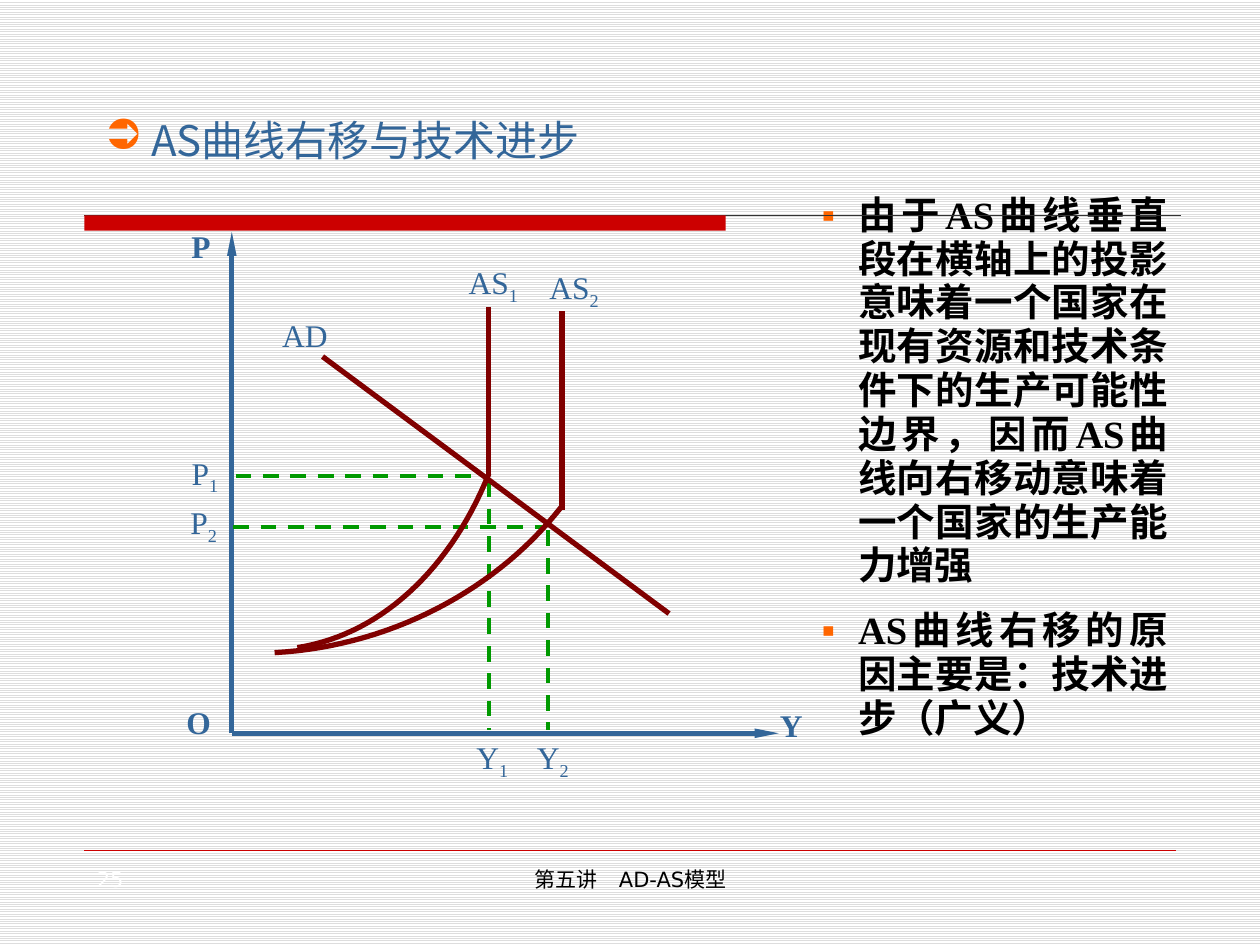
from lxml import etree
from pptx import Presentation
from pptx.dml.color import RGBColor
from pptx.enum import dml, shapes, text
from pptx.oxml.ns import qn
from pptx.util import Inches, Pt

THEME = {
    "blue": "336699", "red": "CC0000", "curve": "800000", "guide": "009900",
    "bullet": "FF6600", "ink": "000000", "rule": "333333", "paper": "FFFFFF", "stripe": "DDDDDD",
    "cjk": "Noto Sans CJK SC", "serif": "Times New Roman", "sans": "DejaVu Sans",
    "title": 24, "body": 22, "label": 18, "small": 12,
}

# Content
TITLE = " AS曲线右移与技术进步"
POINTS = [  # text, space before in points
    ("由于AS曲线垂直段在横轴上的投影意味着一个国家在现有资源和技术条件下的"
     "生产可能性边界，因而AS曲线向右移动意味着一个国家的生产能力增强", 4.4),
    ("AS曲线右移的原因主要是：技术进步（广义）", 12),
]
FOOTER = "第五讲　AD-AS模型"
PAGE_NUMBER = "25"

# Diagram, in inches
ORIGIN, P_TOP, Y_END = (1.84, 5.82), (1.84, 1.84), (6.18, 5.82)
AXIS_LABELS = [("P", 1.5, 1.79), ("O", 1.46, 5.57), ("Y", 6.17, 5.59)]
CURVE_LABELS = [  # text, subscript, left, top
    ("AD", "", 2.22, 2.5), ("AS", "1", 3.7, 2.08), ("AS", "2", 4.34, 2.12),
    ("P", "1", 1.5, 3.59), ("P", "2", 1.49, 3.98),
    ("Y", "1", 3.76, 5.85), ("Y", "2", 4.24, 5.85),
]
GUIDES = [
    ((1.87, 3.78), (3.84, 3.78)), ((3.88, 3.82), (3.88, 5.79)),
    ((1.85, 4.18), (4.33, 4.18)), ((4.35, 4.21), (4.35, 5.79)),
]
STRAIGHT_CURVES = [  # AD, then the vertical parts of AS1 and AS2
    ((2.56, 2.83), (5.31, 4.87)), ((3.88, 2.44), (3.88, 3.77)), ((4.46, 2.47), (4.46, 4.05)),
]
BENT_CURVES = [  # Bezier control points of AS1 and AS2
    ((2.36, 5.14), (3.01, 5.04), (3.57, 4.53), (3.88, 3.76)),
    ((2.18, 5.18), (3.1, 5.13), (3.94, 4.68), (4.45, 4.03)),
]


def colour(name):
    return RGBColor.from_string(THEME[name])


def place(shape, left, top, width, height):
    shape.left, shape.top = Inches(left), Inches(top)
    shape.width, shape.height = Inches(width), Inches(height)


def set_frame(shape, margins=(0.1, 0.05), anchor=text.MSO_ANCHOR.TOP):
    frame = shape.text_frame
    frame.word_wrap, frame.auto_size = True, text.MSO_AUTO_SIZE.NONE
    frame.margin_left = frame.margin_right = Inches(margins[0])
    frame.margin_top = frame.margin_bottom = Inches(margins[1])
    frame.vertical_anchor = anchor
    return frame


def add_run(paragraph, words, size, font, ink, bold=False, subscript=False):
    run = paragraph.add_run()
    run.text = words
    run.font.size, run.font.name, run.font.bold = Pt(THEME[size]), THEME[font], bold
    run.font.color.rgb = colour(ink)
    properties = run.font._element
    etree.SubElement(properties, qn("a:ea"), typeface=THEME["cjk"])
    if subscript:
        properties.set("baseline", "-25000")


def set_bullet(paragraph, character, indent=0):
    properties = paragraph._p.get_or_add_pPr()
    properties.set("marL", str(Inches(indent)))
    properties.set("indent", str(-Inches(indent)))
    tint = etree.SubElement(properties, qn("a:buClr"))
    etree.SubElement(tint, qn("a:srgbClr"), val=THEME["bullet"])
    etree.SubElement(properties, qn("a:buChar"), char=character)


def add_line(slide, start, end, ink, width, dashed=False, arrow=False):
    line = slide.shapes.add_connector(
        shapes.MSO_CONNECTOR.STRAIGHT, *(Inches(value) for value in start + end))
    line.line.color.rgb, line.line.width = colour(ink), Pt(width)
    if dashed:
        line.line.dash_style = dml.MSO_LINE.DASH
    if arrow:
        etree.SubElement(line.line._get_or_add_ln(), qn("a:tailEnd"),
                         type="triangle", w="sm", len="lg")
    etree.SubElement(line._element.spPr, qn("a:effectLst"))


def add_bent_curve(slide, a, b, c, d, steps=30):
    points = []
    for step in range(steps + 1):
        t = step / steps
        weights = ((1 - t) ** 3, 3 * t * (1 - t) ** 2, 3 * t * t * (1 - t), t ** 3)
        points.append(tuple(Inches(sum(w * p[axis] for w, p in zip(weights, (a, b, c, d))))
                            for axis in (0, 1)))
    builder = slide.shapes.build_freeform(*points[0])
    builder.add_line_segments(points[1:], close=False)
    curve = builder.convert_to_shape()
    curve.shadow.inherit = False
    curve.fill.background()
    curve.line.color.rgb, curve.line.width = colour("curve"), Pt(3)


def add_text(slide, box, margins=(0.1, 0.05), align=text.PP_ALIGN.LEFT):
    shape = slide.shapes.add_textbox(0, 0, 0, 0)
    place(shape, *box)
    paragraph = set_frame(shape, margins).paragraphs[0]
    paragraph.alignment = align
    return paragraph


def add_label(slide, words, left, top, width, subscript="", bold=False):
    paragraph = add_text(slide, (left, top, width, 0.47), (0.02, 0.01))
    add_run(paragraph, words, "label", "serif", "blue", bold)
    if subscript:
        add_run(paragraph, subscript, "label", "serif", "blue", bold, subscript=True)


def main():
    presentation = Presentation()
    presentation.slide_width, presentation.slide_height = Inches(10), Inches(7.5)
    slide = presentation.slides.add_slide(presentation.slide_layouts[1])

    # Striped background
    fill = slide.background.fill
    fill.patterned()
    fill.pattern = dml.MSO_PATTERN.LIGHT_HORIZONTAL
    fill.fore_color.rgb, fill.back_color.rgb = colour("stripe"), colour("paper")

    # Rules and red bar
    add_line(slide, (0.67, 1.71), (9.37, 1.71), "rule", 0.75)
    bar = slide.shapes.add_shape(shapes.MSO_SHAPE.RECTANGLE, Inches(0.67), Inches(1.71),
                                 Inches(5.09), Inches(0.12))
    bar.shadow.inherit = False
    bar.fill.solid()
    bar.fill.fore_color.rgb = colour("red")
    bar.line.fill.background()
    add_line(slide, (0.67, 6.75), (9.33, 6.75), "red", 0.25)

    # Title
    title = slide.shapes.title
    place(title, 0.83, 0.91, 5.98, 0.4)
    paragraph = set_frame(title, (0, 0), text.MSO_ANCHOR.MIDDLE).paragraphs[0]
    paragraph.alignment = text.PP_ALIGN.LEFT
    set_bullet(paragraph, "➲")
    add_run(paragraph, TITLE, "title", "cjk", "blue")

    # Explanation
    body = slide.placeholders[1]
    place(body, 6.42, 1.49, 2.95, 4.45)
    frame = set_frame(body)
    for index, (words, space) in enumerate(POINTS):
        paragraph = frame.add_paragraph() if index else frame.paragraphs[0]
        paragraph.alignment = text.PP_ALIGN.JUSTIFY
        paragraph.line_spacing, paragraph.space_before = 0.95, Pt(space)
        set_bullet(paragraph, "▪", 0.29)
        add_run(paragraph, words, "body", "serif", "ink", bold=True)

    # Diagram
    for end in (P_TOP, Y_END):
        add_line(slide, ORIGIN, end, "blue", 2.75, arrow=True)
    for start, end in GUIDES:
        add_line(slide, start, end, "guide", 2.25, dashed=True)
    for points in BENT_CURVES:
        add_bent_curve(slide, *points)
    for start, end in STRAIGHT_CURVES:
        add_line(slide, start, end, "curve", 3)
    for words, left, top in AXIS_LABELS:
        add_label(slide, words, left, top, 0.4, bold=True)
    for words, subscript, left, top in CURVE_LABELS:
        add_label(slide, words, left, top, 0.56 if words.startswith("A") else 0.48, subscript)

    # Footer and page number
    paragraph = add_text(slide, (3.42, 6.83, 3.17, 0.52), align=text.PP_ALIGN.CENTER)
    add_run(paragraph, FOOTER, "small", "sans", "ink")
    paragraph = add_text(slide, (0.67, 6.83, 0.6, 0.52))
    add_run(paragraph, PAGE_NUMBER, "small", "sans", "paper")

    presentation.save("out.pptx")


if __name__ == "__main__":
    main()
